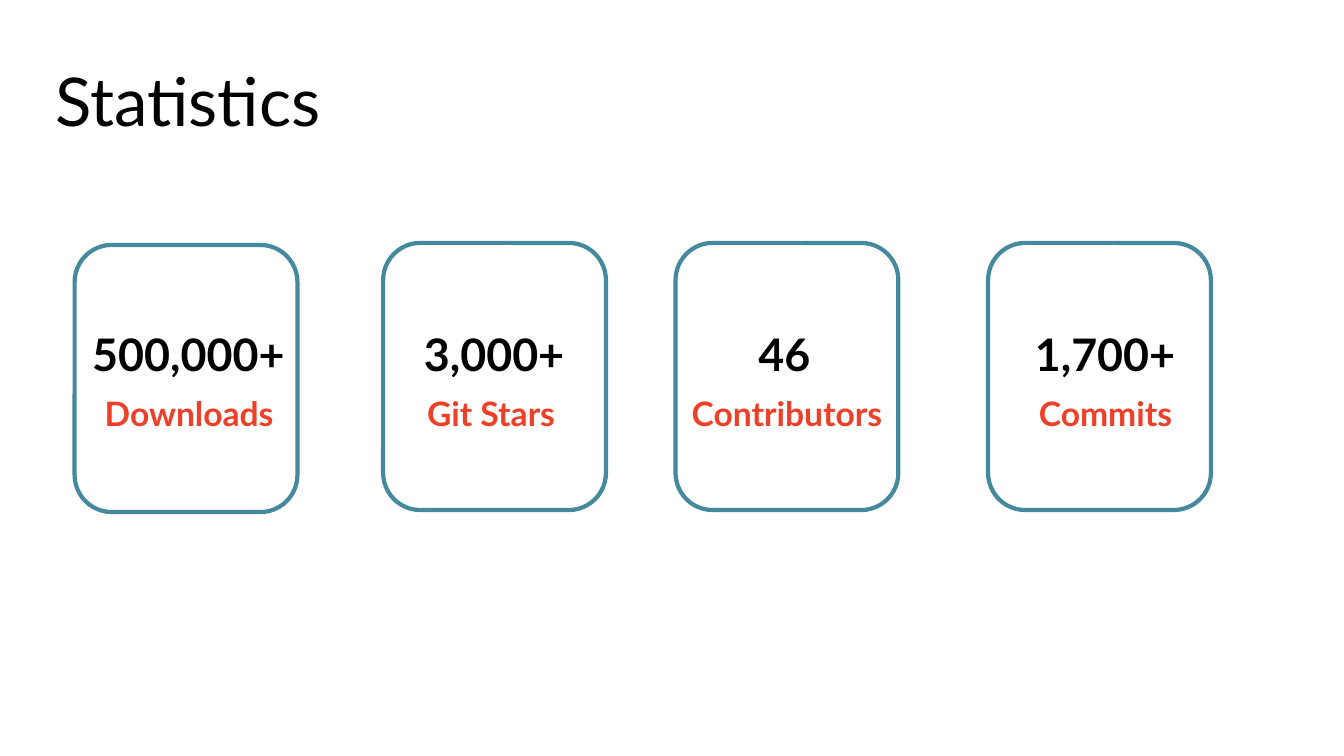
import pptx
import pptx.util
import pptx.dml.color
import pptx.enum.shapes
import pptx.enum.text

RGBColor = pptx.dml.color.RGBColor
BLACK = RGBColor(0x00, 0x00, 0x00)
RED = RGBColor(0xEE, 0x40, 0x28)
TEAL = RGBColor(0x44, 0x89, 0x9E)

PX = 9144  # EMU per px, 100 px to the inch
ALIGN = pptx.enum.text.PP_ALIGN

TITLE_FONT = {"name": "Lato", "size": pptx.util.Pt(48), "bold": False}
NUMBER_FONT = {"name": "Lato", "size": pptx.util.Pt(32), "bold": True}
LABEL_FONT = {"name": "Lato", "size": pptx.util.Pt(24), "bold": True}

CARD_WIDTH, CARD_HEIGHT = 221, 265
TEXT_HEIGHT = 63
NUMBER_WIDTH = 212
NUMBER_TOP, LABEL_TOP = 320, 384

# Card left and top, number and its offset, label with offset, width, alignment
STATISTICS = [
    (74, 243, ("500,000+", 7), ("Downloads", 20, 212, ALIGN.LEFT)),
    (380, 241, ("3,000+", 4), ("Git Stars", 1, 212, ALIGN.CENTER)),
    (670, 241, ("46", 2), ("Contributors", -6, 233, ALIGN.CENTER)),
    (980, 241, ("1,700+", 10), ("Commits", 0, 233, ALIGN.CENTER)),
]


def emu(*lengths):
    return [pptx.util.Emu(length * PX) for length in lengths]


def set_attributes(target, values):
    for name, value in values.items():
        setattr(target, name, value)


def write_text(shape, text, font, color, alignment):
    frame = shape.text_frame
    inset = pptx.util.Emu(10 * PX)
    set_attributes(frame, {
        "word_wrap": True,
        "auto_size": pptx.enum.text.MSO_AUTO_SIZE.NONE,
        "vertical_anchor": pptx.enum.text.MSO_ANCHOR.TOP,
        "margin_left": inset, "margin_right": inset,
        "margin_top": inset, "margin_bottom": inset,
    })
    para = frame.paragraphs[0]
    set_attributes(para, {"alignment": alignment, "line_spacing": 0.9})
    span = para.add_run()
    span.text = text
    set_attributes(span.font, font)
    span.font.color.rgb = color


def add_title(page, left, top, width, height):
    title = page.shapes.title
    title.left, title.top, title.width, title.height = emu(left, top, width, height)
    write_text(title, "Statistics", TITLE_FONT, BLACK, ALIGN.LEFT)


def add_statistic(page, left, top, number, label):
    # Label and number
    text, shift, width, alignment = label
    box = page.shapes.add_textbox(*emu(left + shift, LABEL_TOP, width, TEXT_HEIGHT))
    write_text(box, text, LABEL_FONT, RED, alignment)
    text, shift = number
    box = page.shapes.add_textbox(
        *emu(left + shift, NUMBER_TOP, NUMBER_WIDTH, TEXT_HEIGHT))
    write_text(box, text, NUMBER_FONT, BLACK, ALIGN.CENTER)

    # Outline
    card = page.shapes.add_shape(
        pptx.enum.shapes.MSO_SHAPE.ROUNDED_RECTANGLE,
        *emu(left, top, CARD_WIDTH, CARD_HEIGHT))
    card.shadow.inherit = False
    card.fill.background()
    card.line.color.rgb = TEAL
    card.line.width = pptx.util.Pt(3)


def main():
    deck = pptx.Presentation()
    deck.slide_width, deck.slide_height = emu(1333, 750)
    page = deck.slides.add_slide(deck.slide_layouts[5])
    add_title(page, 45, 58, 1242, 84)
    for statistic in STATISTICS:
        add_statistic(page, *statistic)
    deck.save("out.pptx")


if __name__ == "__main__":
    main()
